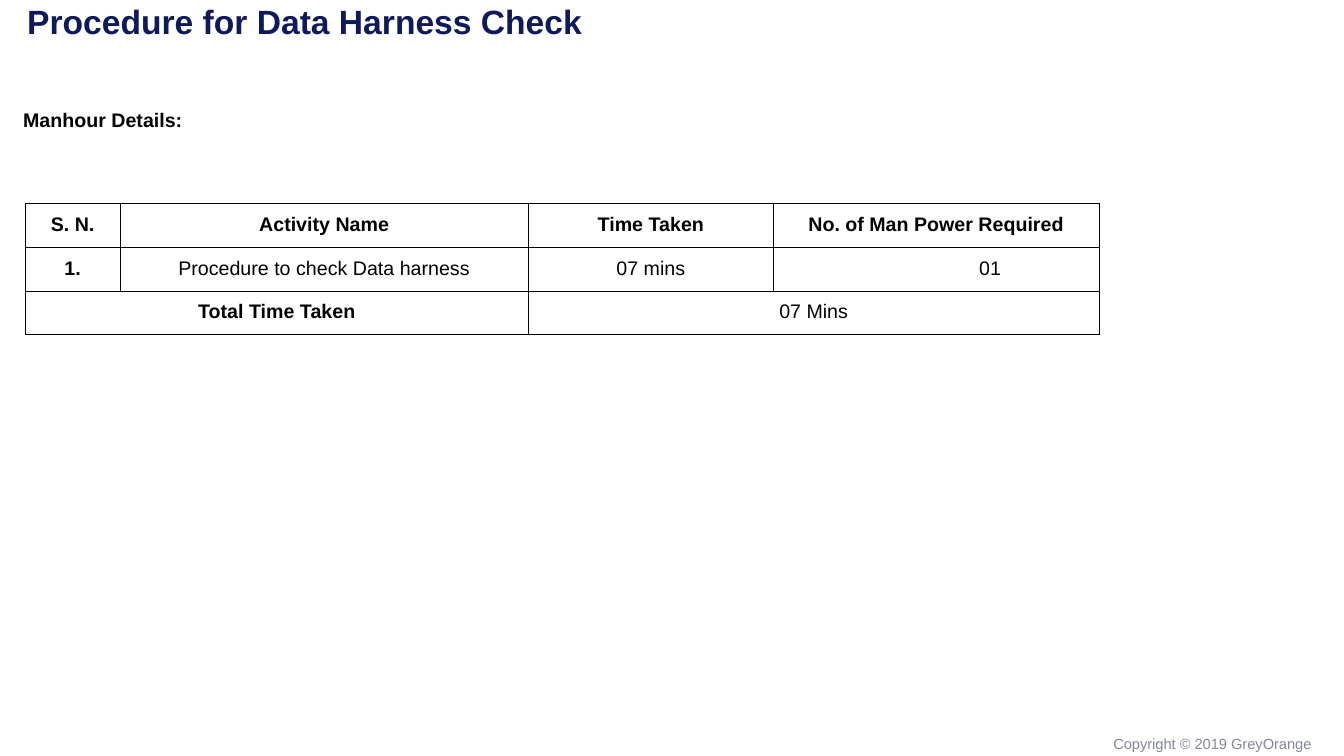
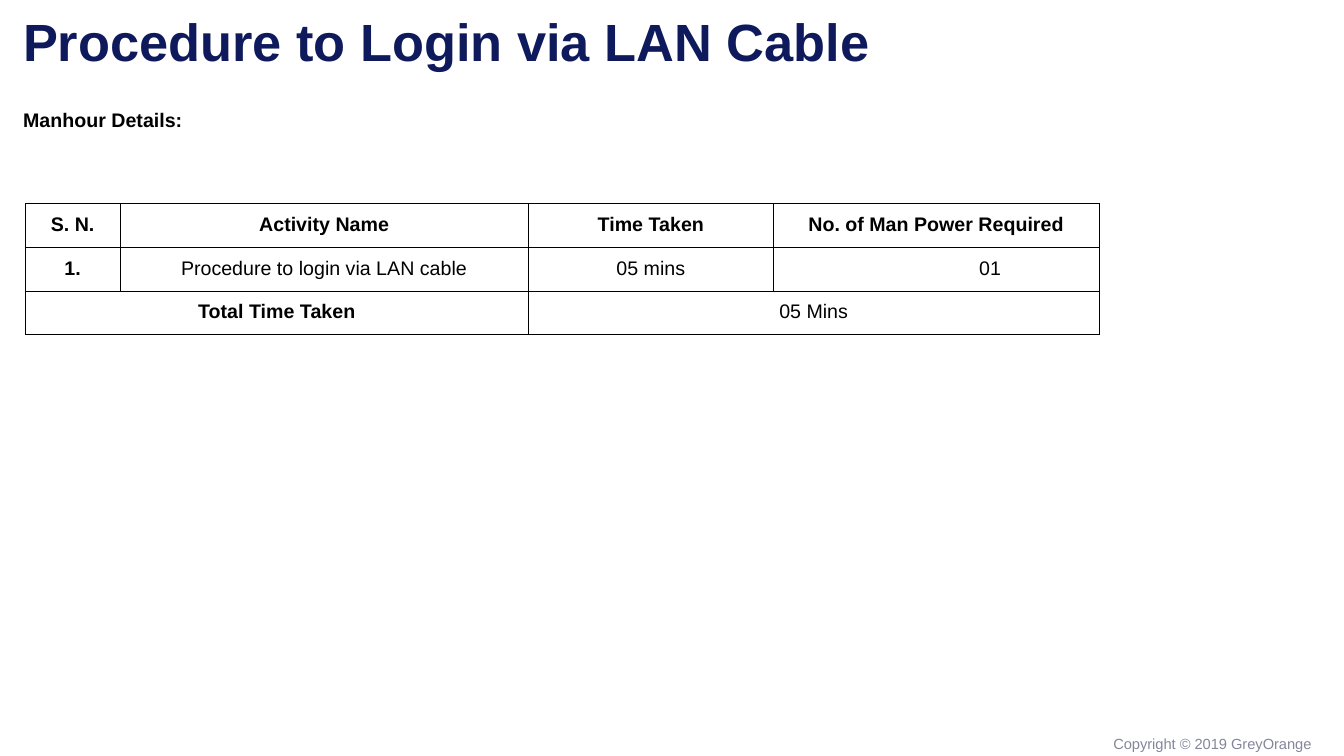
from pptx import Presentation
from pptx.dml.color import RGBColor
from pptx.enum.text import MSO_ANCHOR as Anchor, PP_ALIGN as Align
from pptx.oxml import parse_xml
from pptx.oxml.ns import nsdecls
from pptx.util import Inches, Pt

NAVY = RGBColor(0x0F, 0x1A, 0x5C)
BLACK = RGBColor(0x00, 0x00, 0x00)
GREY = RGBColor(0x84, 0x87, 0x9C)
WHITE = RGBColor(0xFF, 0xFF, 0xFF)
FONT = "Arial"
BODY_SIZE = 14
GRID = 100  # columns and rows per slide
BORDER_WIDTH = Pt(0.75)
COLUMN_SPANS = (7.05, 30.38, 18.23, 24.23)
ROW_SPAN = 5.56
STAFF_INDENT = 1.17


class Deck:
    """Style, grid and current slide of the presentation."""

    def __init__(self):
        self.prs = Presentation()
        self.prs.slide_width = Inches(13.33)
        self.prs.slide_height = Inches(7.5)
        self.slide = None

    def columns(self, count):
        return round(self.prs.slide_width * count / GRID)

    def rows(self, count):
        return round(self.prs.slide_height * count / GRID)

    def place(self, col, row, col_span, row_span):
        return (self.columns(col), self.rows(row),
                self.columns(col_span), self.rows(row_span))

    def new_slide(self):
        self.slide = self.prs.slides.add_slide(self.prs.slide_layouts[6])
        self.text("Copyright © 2019 GreyOrange", (80.2, 96.53, 18.45, 3.73),
                  10.5, GREY, align=Align.RIGHT, insets=(0.1, 0.05, 0.14, 0.05))

    @staticmethod
    def add_words(paragraph, words, size, color, bold, align):
        paragraph.alignment = align
        run = paragraph.add_run()
        run.text = words
        font = run.font
        font.name, font.size, font.bold = FONT, Pt(size), bold
        font.color.rgb = color

    def text(self, words, area, size, color, bold=False, align=Align.LEFT,
             insets=(0.1, 0.1, 0.1, 0.1), anchor=Anchor.TOP, spacing=None):
        """Add a text box; insets are left, top, right, bottom in inches."""
        frame = self.slide.shapes.add_textbox(*self.place(*area)).text_frame
        frame.word_wrap = True
        frame.vertical_anchor = anchor
        (frame.margin_left, frame.margin_top,
         frame.margin_right, frame.margin_bottom) = map(Inches, insets)
        paragraph = frame.paragraphs[0]
        if spacing:
            paragraph.line_spacing = spacing
        self.add_words(paragraph, words, size, color, bold, align)

    def title(self, words, area, size, **layout):
        self.text(words, area, size, NAVY, bold=True, **layout)

    def subtitle(self, words):
        self.text(words, (0.98, 12.93, 24.6, 5.87), BODY_SIZE, BLACK, bold=True)

    @staticmethod
    def style_cell(cell):
        """Give the cell four thin black borders, a white fill and margins."""
        props = cell._tc.get_or_add_tcPr()
        for side in "LRTB":
            props.append(parse_xml(
                f'<a:ln{side} {nsdecls("a")} w="{BORDER_WIDTH}"><a:solidFill>'
                f'<a:srgbClr val="{BLACK}"/></a:solidFill></a:ln{side}>'))
        cell.fill.solid()
        cell.fill.fore_color.rgb = WHITE
        cell.margin_left = cell.margin_right = Inches(0.1)
        cell.margin_top = cell.margin_bottom = Inches(0.1)

    def manhour_table(self, activity, minutes):
        header = ("S. N.", "Activity Name", "Time Taken",
                  "No. of Man Power Required")
        entries = (header,
                   ("1.", activity, f"{minutes} mins", "01"),
                   ("Total Time Taken", None, f"{minutes} Mins", None))
        area = (1.88, 26.93, sum(COLUMN_SPANS), ROW_SPAN * len(entries))
        table = self.slide.shapes.add_table(
            len(entries), len(header), *self.place(*area)).table
        table.first_row = table.horz_banding = False
        for column, span in zip(table.columns, COLUMN_SPANS):
            column.width = self.columns(span)
        for r, entry in enumerate(entries):
            table.rows[r].height = self.rows(ROW_SPAN)
            for c, words in enumerate(entry):
                cell = table.cell(r, c)
                self.style_cell(cell)
                if words:
                    self.add_words(cell.text_frame.paragraphs[0], words,
                                   BODY_SIZE, BLACK, r == 0 or c == 0,
                                   Align.CENTER)
        table.cell(1, 3).margin_left = Inches(STAFF_INDENT)
        for first in (0, 2):
            table.cell(2, first).merge(table.cell(2, first + 1))

    def manhours(self, activity, minutes):
        self.subtitle("Manhour Details:")
        self.manhour_table(activity, minutes)


def main():
    deck = Deck()

    deck.new_slide()
    deck.title("Procedure for Data Harness Check", (1.95, 0, 77, 5.6), 24,
               insets=(0.01, 0.01, 0, 0))
    deck.manhours("Procedure to check Data harness", "07")

    deck.new_slide()
    deck.title("Procedure to Login via LAN Cable", (0.98, 2.67, 95.57, 7.47),
               37.4, insets=(0.1, 0.05, 0.1, 0.05), anchor=Anchor.MIDDLE,
               spacing=0.7)
    deck.manhours("Procedure to login via LAN cable", "05")

    deck.prs.save("out.pptx")


if __name__ == "__main__":
    main()
